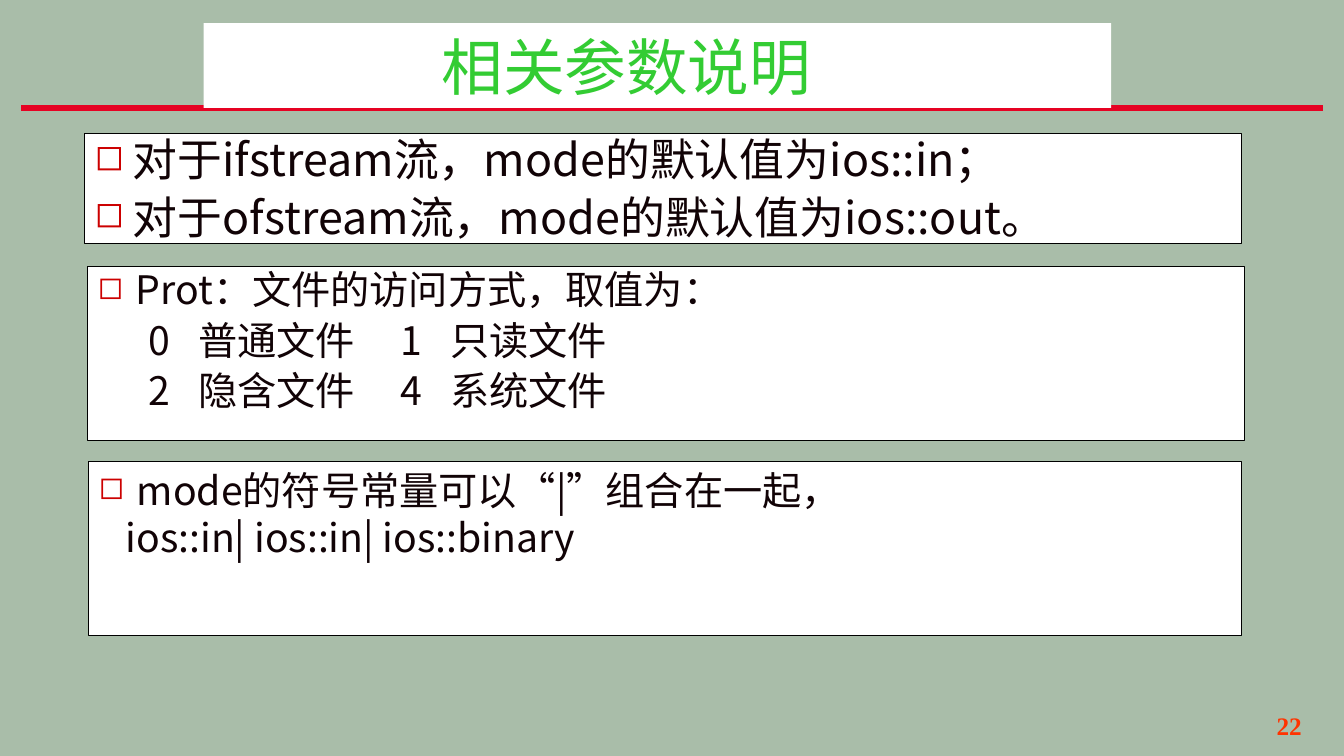
from dataclasses import dataclass

from lxml import etree
from pptx import Presentation
from pptx.dml.color import RGBColor
from pptx.enum import shapes, text
from pptx.oxml import ns
from pptx.util import Inches, Pt

SAGE = RGBColor(0xA9, 0xBD, 0xA9)
CRIMSON = RGBColor(0xE6, 0x02, 0x23)
WHITE = RGBColor(0xFF, 0xFF, 0xFF)
BLACK = RGBColor(0, 0, 0)
INK = RGBColor(0x11, 0x03, 0x06)
GREEN = RGBColor(0x33, 0xCC, 0x33)
ORANGE = RGBColor(0xFF, 0x33, 0x00)
BULLET_RED = "CC0000"
CJK_FONT = "Noto Sans CJK SC"
HANGING = 0.38


@dataclass
class Line:
    text: str
    bullet: bool = True
    margin: float = 0
    tabs: tuple[float, ...] = ()


@dataclass
class Panel:
    left: float
    top: float
    width: float
    height: float
    size: int
    lines: list[Line]
    tight: bool = True  # 90 % line spacing with a gap before each paragraph


PANELS = [
    Panel(0.84, 1.32, 11.47, 1.1, 32, [
        Line("对于ifstream流，mode的默认值为ios::in；"),
        Line("对于ofstream流，mode的默认值为ios::out。"),
    ]),
    Panel(0.87, 2.64, 11.47, 1.73, 28, [
        Line("Prot：文件的访问方式，取值为："),
        Line("\t0\t普通文件\t1\t只读文件", False, tabs=(1.36, 2.02, 4.46, 5.11)),
        Line("\t2\t隐含文件\t4\t系统文件", False, tabs=(1.36, 2.02, 4.02, 4.69)),
    ]),
    Panel(0.88, 4.58, 11.43, 1.73, 28, [
        Line("mode的符号常量可以“|”组合在一起，"),
        Line("ios::in| ios::in| ios::binary", False, margin=0.27),
    ], tight=False),
]


def style_text(paragraph, name: str, size: int, color: RGBColor) -> None:
    font = paragraph.font
    font.name, font.size = name, Pt(size)
    font.color.rgb = color
    properties = paragraph._p.get_or_add_pPr().find(ns.qn("a:defRPr"))
    etree.SubElement(properties, ns.qn("a:ea"), typeface=name)


def set_indent(paragraph, line: Line) -> None:
    """Add margins, the square bullet and tab stops ahead of the font settings."""
    properties = paragraph._p.get_or_add_pPr()
    margin = HANGING if line.bullet else line.margin
    properties.set("marL", str(Inches(margin)))
    properties.set("indent", str(Inches(-HANGING if line.bullet else 0)))
    font_settings = properties.find(ns.qn("a:defRPr"))

    def add(tag: str, **attributes: str):
        element = etree.Element(ns.qn(tag), **attributes)
        font_settings.addprevious(element)
        return element

    if line.bullet:
        etree.SubElement(add("a:buClr"), ns.qn("a:srgbClr"), val=BULLET_RED)
        add("a:buSzPct", val="80000")
        add("a:buChar", char="◻")
    else:
        add("a:buNone")
    if line.tabs:
        stops = add("a:tabLst")
        for position in line.tabs:
            etree.SubElement(stops, ns.qn("a:tab"), pos=str(Inches(position)), algn="l")


def add_box(slide, left: float, top: float, width: float, height: float):
    shape = slide.shapes.add_shape(
        shapes.MSO_SHAPE.RECTANGLE, Inches(left), Inches(top), Inches(width), Inches(height))
    shape.shadow.inherit = False
    shape.fill.solid()
    shape.fill.fore_color.rgb = WHITE
    shape.line.fill.background()
    shape.text_frame.word_wrap = True
    return shape


def add_panel(slide, panel: Panel) -> None:
    shape = add_box(slide, panel.left, panel.top, panel.width, panel.height)
    shape.line.color.rgb = BLACK
    shape.line.width = Pt(0.75)
    frame = shape.text_frame
    frame.vertical_anchor = text.MSO_ANCHOR.TOP
    for index, line in enumerate(panel.lines):
        paragraph = frame.add_paragraph() if index else frame.paragraphs[0]
        paragraph.add_run().text = line.text
        justified = panel.tight and not line.tabs
        paragraph.alignment = text.PP_ALIGN.JUSTIFY if justified else text.PP_ALIGN.LEFT
        if panel.tight:
            paragraph.line_spacing = 0.9
            paragraph.space_before = Pt(0.2 * panel.size)
        style_text(paragraph, CJK_FONT, panel.size, INK)
        set_indent(paragraph, line)


def add_rule(slide) -> None:
    rule = slide.shapes.add_connector(
        shapes.MSO_CONNECTOR.STRAIGHT, Inches(0.21), Inches(1.07), Inches(13.12), Inches(1.07))
    rule.line.color.rgb = CRIMSON
    rule.line.width = Pt(4.5)
    etree.SubElement(rule._element.spPr, ns.qn("a:effectLst"))


def add_title(slide) -> None:
    frame = add_box(slide, 2.02, 0.23, 9, 0.84).text_frame
    frame.margin_right = Inches(0.71)
    frame.vertical_anchor = text.MSO_ANCHOR.MIDDLE
    paragraph = frame.paragraphs[0]
    paragraph.text = "相关参数说明"
    paragraph.alignment = text.PP_ALIGN.CENTER
    style_text(paragraph, CJK_FONT, 44, GREEN)


def add_page_number(slide) -> None:
    shape = slide.shapes.add_textbox(Inches(10.23), Inches(7), Inches(2.78), Inches(0.4))
    shape.text_frame.word_wrap = True
    paragraph = shape.text_frame.paragraphs[0]
    paragraph.text = "22"
    paragraph.alignment = text.PP_ALIGN.RIGHT
    style_text(paragraph, "Times New Roman", 18, ORANGE)
    paragraph.font.bold = True


def main() -> None:
    presentation = Presentation()
    presentation.slide_width, presentation.slide_height = Inches(13.33), Inches(7.5)
    slide = presentation.slides.add_slide(presentation.slide_layouts[6])
    slide.background.fill.solid()
    slide.background.fill.fore_color.rgb = SAGE

    # Heading over the red rule
    add_rule(slide)
    add_title(slide)
    # Explanations
    for panel in PANELS:
        add_panel(slide, panel)
    # Footer
    add_page_number(slide)
    presentation.save("out.pptx")


if __name__ == "__main__":
    main()
